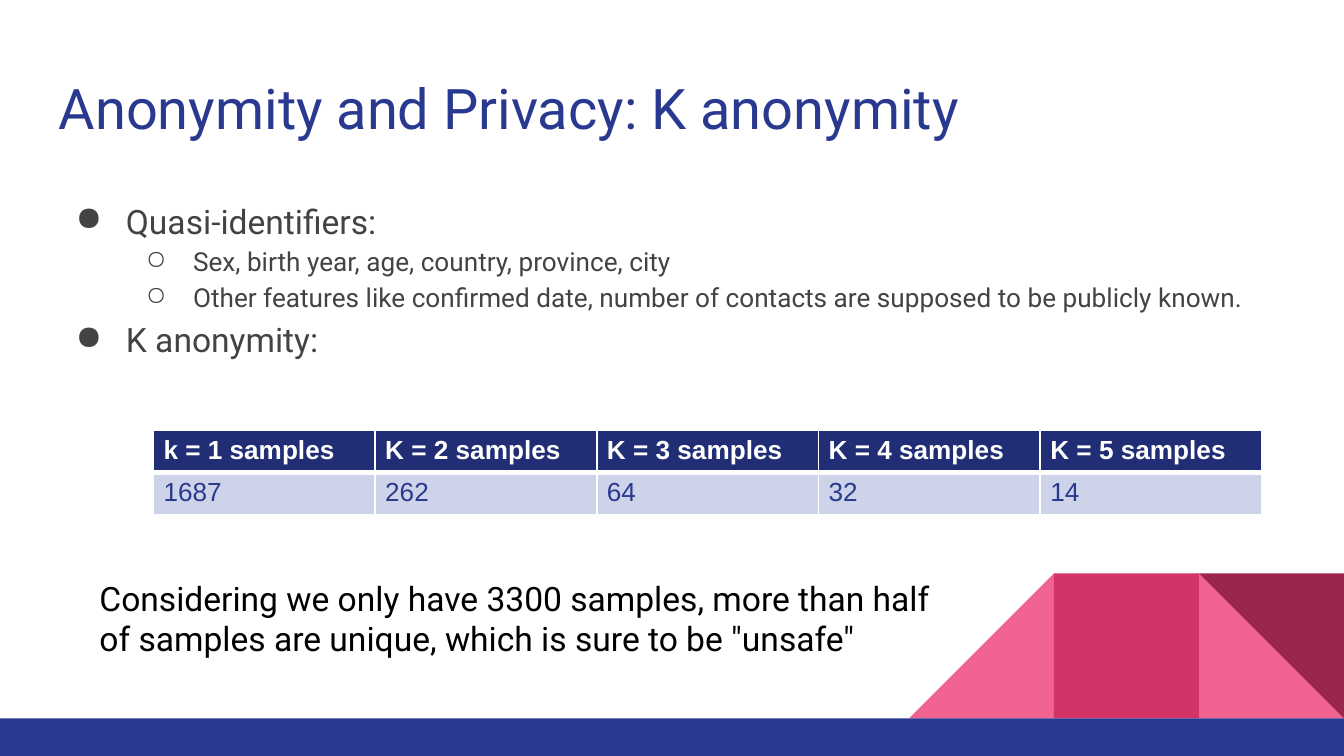
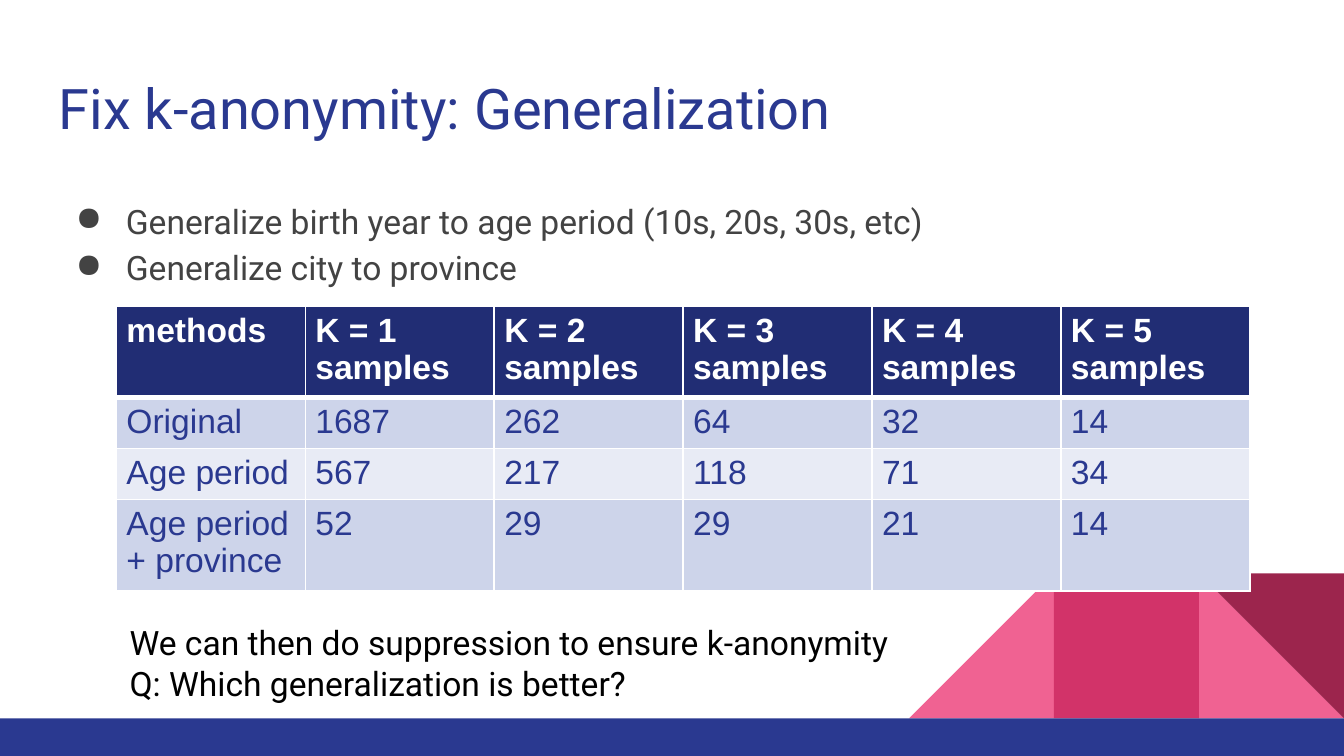
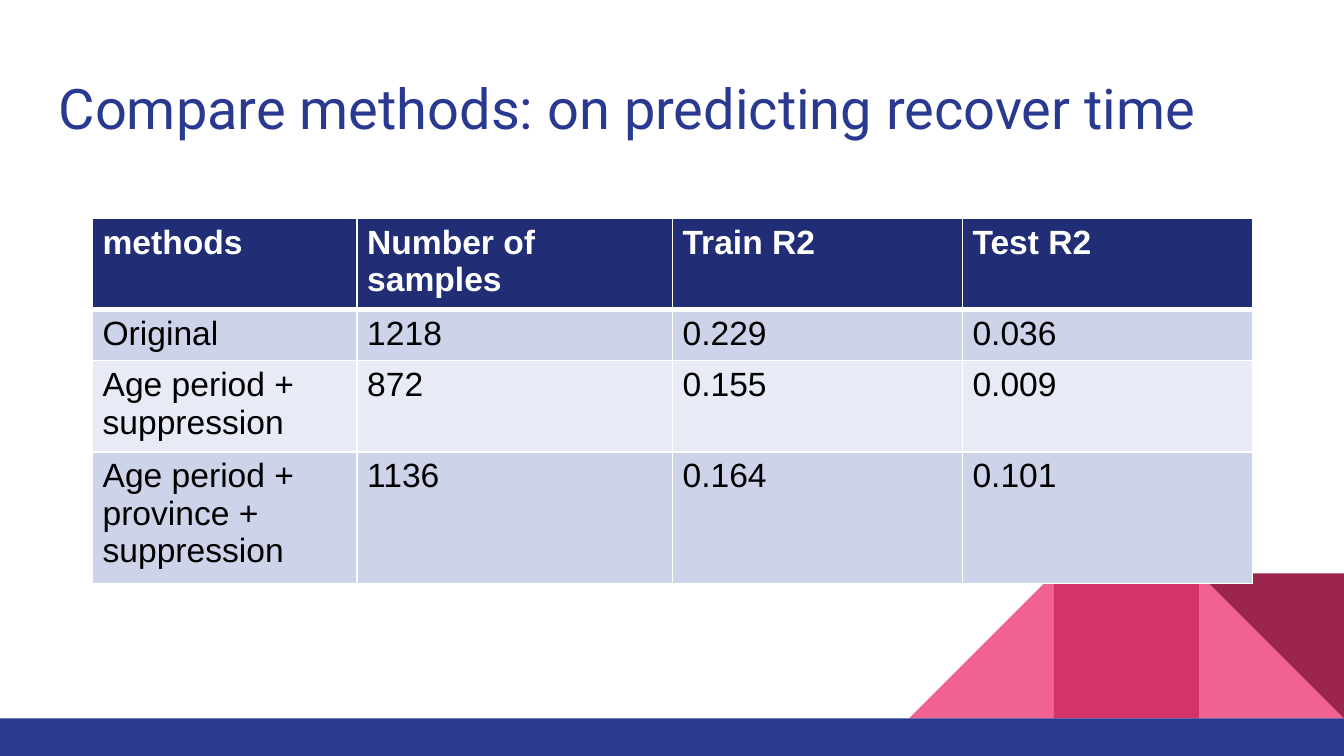
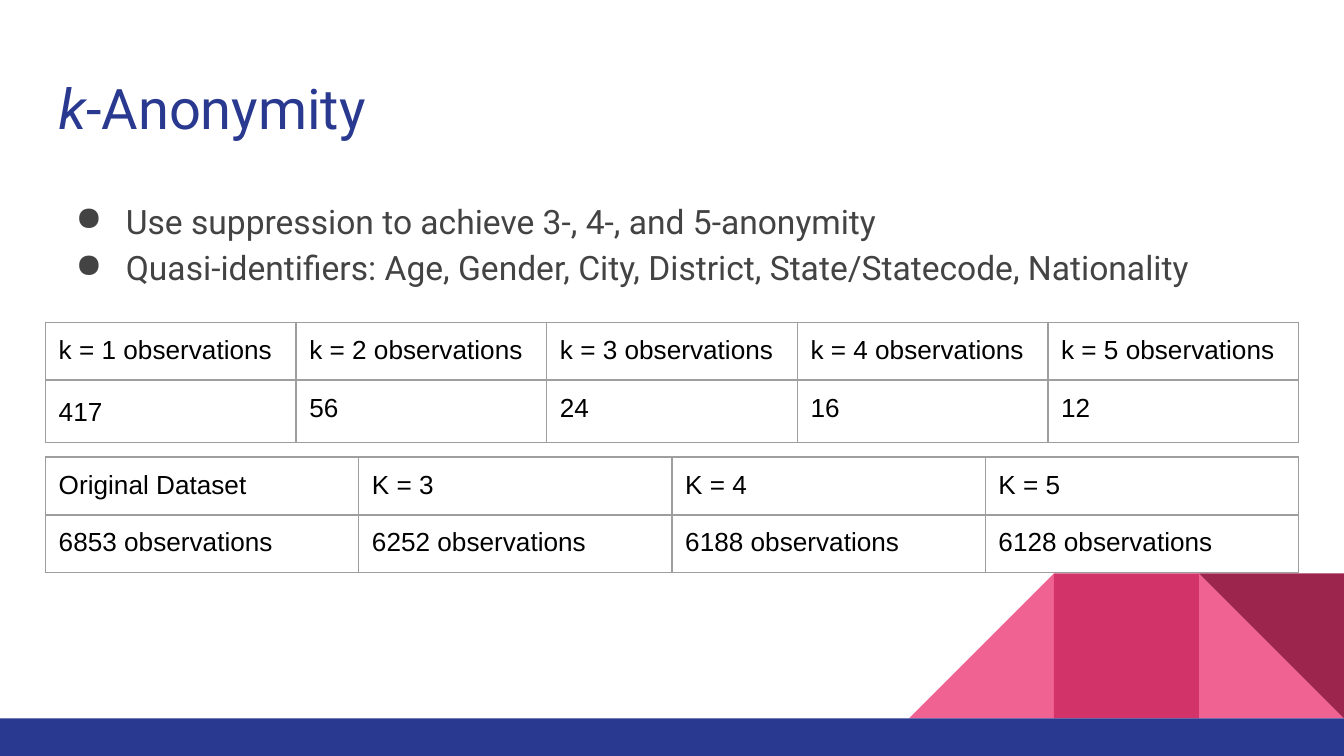
from lxml.etree import SubElement
from pptx import Presentation
from pptx.dml.color import RGBColor
from pptx.enum.shapes import MSO_SHAPE as Shape
from pptx.enum.text import MSO_ANCHOR as Anchor
from pptx.oxml.ns import qn
from pptx.util import Cm, Pt

COLORS = {
    "navy": "2A3990", "header": "212D74", "band": "CDD4EA", "light_band": "E8EBF5",
    "pink": "F06292", "rose": "D23369", "wine": "9C254D",
    "body": "434343", "black": "000000", "white": "FFFFFF", "grid": "9E9E9E",
}
TEXT_FONT = "Roboto"
TABLE_FONT = "Arial"
SLIDE_WIDTH, SLIDE_HEIGHT = 25.4, 14.29
TILE = 2.74
BAND_TOP = 13.58
MARGIN = 0.86
CONTENT_WIDTH = 23.68
BULLETS = [("●", 18, 1.27, -0.95), ("○", 14, 2.54, -0.89)]


def rgb(name):
    return RGBColor.from_string(COLORS[name])


def add_run(paragraph, text, size, color, font=TEXT_FONT, bold=False, italic=False):
    run = paragraph.add_run()
    run.text = text
    run.font.name = font
    run.font.size = Pt(size)
    run.font.bold = bold
    run.font.italic = italic
    run.font.color.rgb = rgb(color)


def add_block(slide, kind, left, top, width, height, color):
    shape = slide.shapes.add_shape(kind, Cm(left), Cm(top), Cm(width), Cm(height))
    shape.shadow.inherit = False
    shape.fill.solid()
    shape.fill.fore_color.rgb = rgb(color)
    shape.line.fill.background()
    return shape


def add_decoration(slide):
    def add_tile(kind, tiles_from_right, color):
        left = SLIDE_WIDTH - tiles_from_right * TILE
        return add_block(slide, kind, left, BAND_TOP - TILE, TILE, TILE, color)

    add_tile(Shape.RIGHT_TRIANGLE, 1, "pink")
    rising = add_tile(Shape.RIGHT_TRIANGLE, 3, "pink")
    rising._element.spPr.get_or_add_xfrm().set("flipH", "1")
    add_tile(Shape.RECTANGLE, 2, "rose")
    add_tile(Shape.RIGHT_TRIANGLE, 1, "wine").rotation = 180
    add_block(slide, Shape.RECTANGLE, 0, BAND_TOP, SLIDE_WIDTH, SLIDE_HEIGHT - BAND_TOP, "navy")


def add_text_frame(slide, left, top, width, height):
    frame = slide.shapes.add_textbox(Cm(left), Cm(top), Cm(width), Cm(height)).text_frame
    frame.word_wrap = True
    frame.vertical_anchor = Anchor.TOP
    frame.margin_left = frame.margin_right = Cm(0.25)
    frame.margin_top = frame.margin_bottom = Cm(0.25)
    return frame


def add_paragraphs(frame, count):
    return [frame.paragraphs[0]] + [frame.add_paragraph() for _ in range(count - 1)]


def add_title(slide, text, italic_start=""):
    paragraph = add_text_frame(slide, MARGIN, 1.14, CONTENT_WIDTH, 1.68).paragraphs[0]
    if italic_start:
        add_run(paragraph, italic_start, 30, "navy", italic=True)
    add_run(paragraph, text, 30, "navy")


def add_bullets(slide, items):
    frame = add_text_frame(slide, MARGIN, 3.43, CONTENT_WIDTH, 9.27)
    for paragraph, (level, text) in zip(add_paragraphs(frame, len(items)), items):
        symbol, size, margin, indent = BULLETS[level]
        paragraph.level = level
        paragraph.line_spacing = 1.15
        properties = paragraph._p.get_or_add_pPr()
        properties.set("marL", str(Cm(margin)))
        properties.set("indent", str(Cm(indent)))
        bullet_color = SubElement(properties, qn("a:buClr"))
        SubElement(bullet_color, qn("a:srgbClr"), val=COLORS["body"])
        SubElement(properties, qn("a:buChar"), char=symbol)
        add_run(paragraph, text, size, "body")


def add_note(slide, left, top, width, height, lines):
    frame = add_text_frame(slide, left, top, width, height)
    for paragraph, line in zip(add_paragraphs(frame, len(lines)), lines):
        add_run(paragraph, line, 18, "black")


def set_borders(cell, color, width, bottom_width):
    properties = cell._tc.get_or_add_tcPr()
    for side in "LRTB":
        points = bottom_width if side == "B" else width
        line = SubElement(properties, qn(f"a:ln{side}"), w=str(Pt(points)))
        fill = SubElement(line, qn("a:solidFill"))
        SubElement(fill, qn("a:srgbClr"), val=COLORS[color])


def add_table(slide, left, top, widths, row_height, rows):
    frame = slide.shapes.add_table(len(rows), len(widths), Cm(left), Cm(top),
                                   Cm(sum(widths)), Cm(row_height * len(rows)))
    table = frame.table
    table.first_row = table.horz_banding = False
    for column, width in zip(table.columns, widths):
        column.width = Cm(width)
    for row in table.rows:
        row.height = Cm(row_height)
    for row_index, row in enumerate(rows):
        for column_index, text in enumerate(row):
            yield row_index, table.cell(row_index, column_index), text


def set_margins(cell, horizontal, vertical):
    cell.margin_left = cell.margin_right = Cm(horizontal)
    cell.margin_top = cell.margin_bottom = Cm(vertical)


def add_banded_table(slide, left, top, widths, rows, size=18, color="navy"):
    for row_index, cell, text in add_table(slide, left, top, widths, 0.76, rows):
        is_header = row_index == 0
        set_margins(cell, 0.19, 0.1)
        set_borders(cell, "white", 1, 3 if is_header else 1)
        cell.fill.solid()
        fill = "header" if is_header else "band" if row_index % 2 else "light_band"
        cell.fill.fore_color.rgb = rgb(fill)
        add_run(cell.text_frame.paragraphs[0], text, size,
                "white" if is_header else color, TABLE_FONT, bold=is_header)


def add_grid_table(slide, top, rows, spaced_text=None):
    count = len(rows[0])
    widths = [CONTENT_WIDTH / count] * count
    for _, cell, text in add_table(slide, MARGIN, top, widths, 1.06, rows):
        set_margins(cell, 0.25, 0.25)
        set_borders(cell, "grid", 0.75, 0.75)
        cell.fill.background()
        paragraph = cell.text_frame.paragraphs[0]
        if text == spaced_text:
            paragraph.line_spacing = 1.15
        add_run(paragraph, text, 14, "black", TABLE_FONT)


def add_slide(presentation, title, italic_start=""):
    slide = presentation.slides.add_slide(presentation.slide_layouts[6])
    add_decoration(slide)
    add_title(slide, title, italic_start)
    return slide


def add_k_anonymity(presentation):
    slide = add_slide(presentation, "Anonymity and Privacy: K anonymity")
    add_bullets(slide, [
        (0, "Quasi-identifiers:"),
        (1, "Sex, birth year, age, country, province, city"),
        (1, "Other features like confirmed date, number of contacts are supposed to be publicly known."),
        (0, "K anonymity:"),
    ])
    add_banded_table(slide, 2.9, 8.14, [4.19] * 5, [
        ["k = 1 samples"] + [f"K = {k} samples" for k in range(2, 6)],
        ["1687", "262", "64", "32", "14"],
    ], size=14)
    add_note(slide, 1.63, 10.67, 16.69, 1.78, [
        "Considering we only have 3300 samples, more than half of samples are unique, "
        "which is sure to be \"unsafe\"",
    ])


def add_generalization(presentation):
    slide = add_slide(presentation, "Fix k-anonymity: Generalization")
    add_bullets(slide, [
        (0, "Generalize birth year to age period (10s, 20s, 30s, etc)"),
        (0, "Generalize city to province"),
    ])
    add_banded_table(slide, 2.2, 5.79, [3.57] * 6, [
        ["methods"] + [f"K = {k} samples" for k in range(1, 6)],
        ["Original", "1687", "262", "64", "32", "14"],
        ["Age period", "567", "217", "118", "71", "34"],
        ["Age period + province", "52", "29", "29", "21", "14"],
    ])
    add_note(slide, 2.2, 11.51, 18.03, 0.84, [
        "We can then do suppression to ensure k-anonymity",
        "Q: Which generalization is better?",
    ])


def add_comparison(presentation):
    slide = add_slide(presentation, "Compare methods: on predicting recover time")
    add_banded_table(slide, 1.75, 4.13, [5, 5.96, 5.48, 5.48], [
        ["methods", "Number of samples", "Train R2", "Test R2"],
        ["Original", "1218", "0.229", "0.036"],
        ["Age period + suppression", "872", "0.155", "0.009"],
        ["Age period + province + suppression", "1136", "0.164", "0.101"],
    ], color="black")


def add_suppression(presentation):
    slide = add_slide(presentation, "-Anonymity", italic_start="k")
    add_bullets(slide, [
        (0, "Use suppression to achieve 3-, 4-, and 5-anonymity"),
        (0, "Quasi-identifiers: Age, Gender, City, District, State/Statecode, Nationality"),
    ])
    add_grid_table(slide, 6.09, [
        [f"k = {k} observations" for k in range(1, 6)],
        ["417", "56", "24", "16", "12"],
    ], spaced_text="417")
    add_grid_table(slide, 8.64, [
        ["Original Dataset", "K = 3", "K = 4", "K = 5"],
        [f"{count} observations" for count in (6853, 6252, 6188, 6128)],
    ])


def main():
    presentation = Presentation()
    presentation.slide_width = Cm(SLIDE_WIDTH)
    presentation.slide_height = Cm(SLIDE_HEIGHT)
    add_k_anonymity(presentation)
    add_generalization(presentation)
    add_comparison(presentation)
    add_suppression(presentation)
    presentation.save("out.pptx")


if __name__ == "__main__":
    main()
